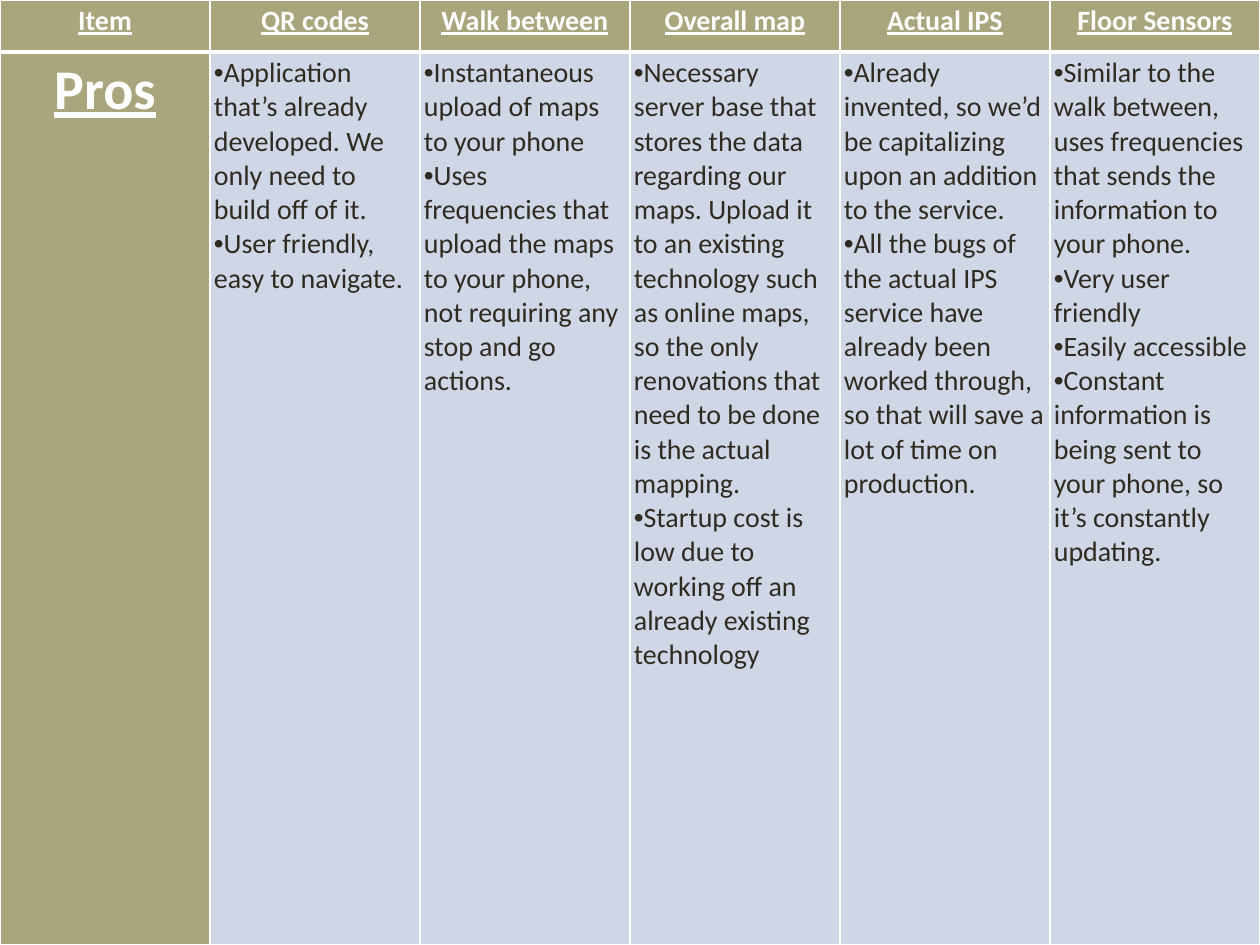
from lxml import etree
from pptx import Presentation
from pptx.dml.color import RGBColor
from pptx.enum.text import PP_ALIGN
from pptx.oxml.ns import qn
from pptx.util import Pt

EMU_PER_INCH = 914400
PX_PER_INCH = 126
SLIDE_WIDTH, SLIDE_HEIGHT = 1260, 945
HEADER_HEIGHT = 52
CELL_MARGIN = 4
CENTER = PP_ALIGN.CENTER
LEFT = PP_ALIGN.LEFT
FONT = "Calibri"
COLORS = {"header": "A9A57C", "body": "CFD7E7", "text": "2F2B20", "white": "FFFFFF"}

ROW_LABELS = ["Item", "Pros"]
PROS = {
    "QR codes": [
        "Application that’s already developed. We only need to build off of it.",
        "User friendly, easy to navigate.",
    ],
    "Walk between": [
        "Instantaneous upload of maps to your phone",
        "Uses frequencies that upload the maps to your phone, "
        "not requiring any stop and go actions.",
    ],
    "Overall map": [
        "Necessary server base that stores the data regarding our maps. "
        "Upload it to an existing technology such as online maps, so the only "
        "renovations that need to be done is the actual mapping.",
        "Startup cost is low due to working off an already existing technology",
    ],
    "Actual IPS": [
        "Already invented, so we’d be capitalizing upon an addition to the service.",
        "All the bugs of the actual IPS service have already been worked through, "
        "so that will save a lot of time on production.",
    ],
    "Floor Sensors": [
        "Similar to the walk between, uses frequencies that sends the "
        "information to your phone.",
        "Very user friendly",
        "Easily accessible",
        "Constant information is being sent to your phone, so it’s constantly updating.",
    ],
}


def px(length):
    return round(length * EMU_PER_INCH / PX_PER_INCH)


def color(name):
    return RGBColor.from_string(COLORS[name])


def set_borders(cell, top, bottom):
    properties = cell._tc.get_or_add_tcPr()
    for side, width in (("L", 1), ("R", 1), ("T", top), ("B", bottom)):
        line = etree.SubElement(properties, qn(f"a:ln{side}"), w=str(Pt(width)))
        fill = etree.SubElement(line, qn("a:solidFill"))
        etree.SubElement(fill, qn("a:srgbClr"), val=COLORS["white"])


def add_bullet(paragraph):
    properties = paragraph._p.get_or_add_pPr()
    properties.set("marL", "0")
    properties.set("indent", "0")
    etree.SubElement(properties, qn("a:buFont"), typeface="Arial")
    etree.SubElement(properties, qn("a:buChar"), char="•")


def style_cell(cell, fill, is_header_row):
    cell.margin_left = cell.margin_right = px(CELL_MARGIN)
    cell.margin_top = cell.margin_bottom = px(CELL_MARGIN)
    set_borders(cell, *((1, 3) if is_header_row else (3, 1)))
    cell.fill.solid()
    cell.fill.fore_color.rgb = color(fill)


def write_paragraph(paragraph, text, size, is_heading):
    paragraph.text = text
    paragraph.alignment = CENTER if is_heading else LEFT
    if not is_heading:
        add_bullet(paragraph)
    font = paragraph.font
    font.name = FONT
    font.size = Pt(size)
    font.bold = font.underline = is_heading
    font.color.rgb = color("white" if is_heading else "text")


def fill_heading(cell, text, size, is_header_row):
    style_cell(cell, "header", is_header_row)
    write_paragraph(cell.text_frame.paragraphs[0], text, size, True)


def fill_bullets(cell, items):
    style_cell(cell, "body", False)
    frame = cell.text_frame
    for index, item in enumerate(items):
        paragraph = frame.add_paragraph() if index else frame.paragraphs[0]
        write_paragraph(paragraph, item, 16, False)


def add_pros_table(slide):
    column_count = len(PROS) + 1
    table = slide.shapes.add_table(
        2, column_count, 0, 0, px(SLIDE_WIDTH), px(SLIDE_HEIGHT)
    ).table
    for column in table.columns:
        column.width = px(SLIDE_WIDTH // column_count)
    table.rows[0].height = px(HEADER_HEIGHT)
    table.rows[1].height = px(SLIDE_HEIGHT - HEADER_HEIGHT)

    # Row labels
    item_label, pros_label = ROW_LABELS
    fill_heading(table.cell(0, 0), item_label, 16, True)
    fill_heading(table.cell(1, 0), pros_label, 32, False)

    # One column for each option
    for column, (option, items) in enumerate(PROS.items(), start=1):
        fill_heading(table.cell(0, column), option, 16, True)
        fill_bullets(table.cell(1, column), items)


def main():
    presentation = Presentation()
    presentation.slide_width = px(SLIDE_WIDTH)
    presentation.slide_height = px(SLIDE_HEIGHT)
    slide = presentation.slides.add_slide(presentation.slide_layouts[6])
    add_pros_table(slide)
    presentation.save("out.pptx")


if __name__ == "__main__":
    main()
